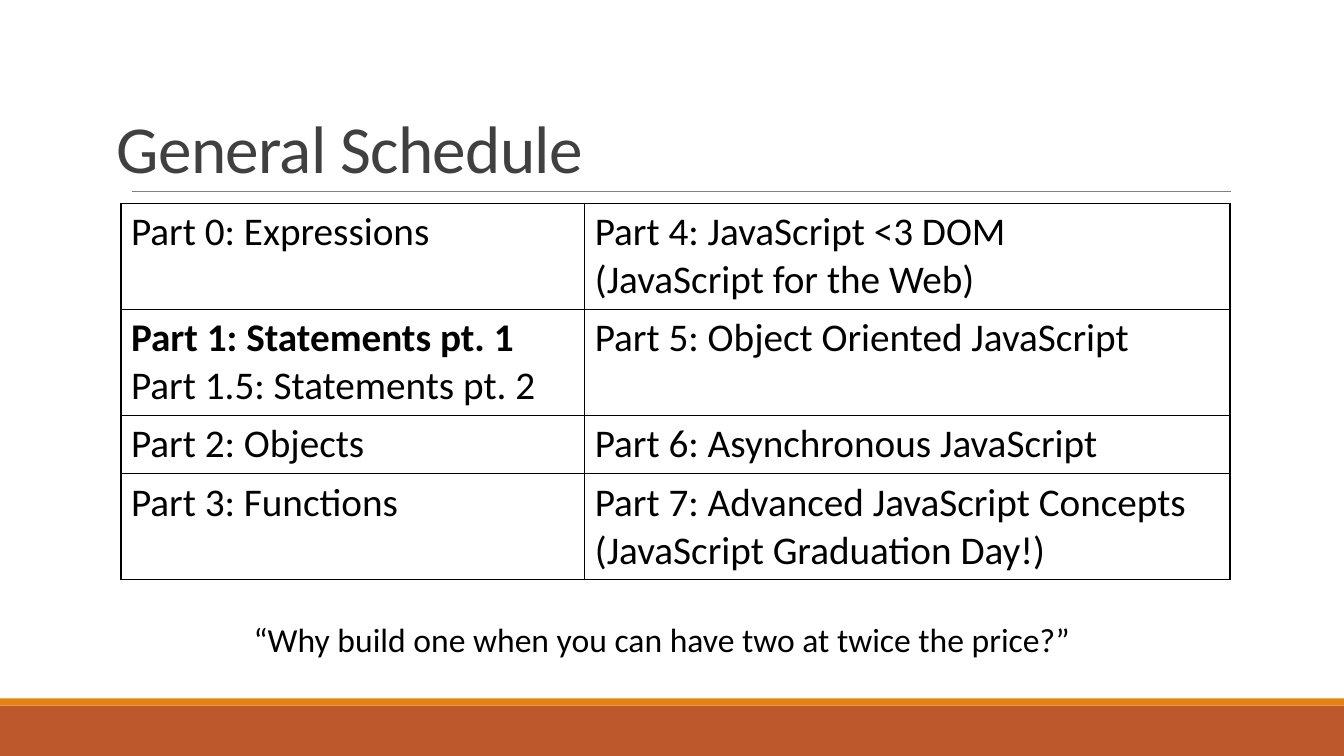
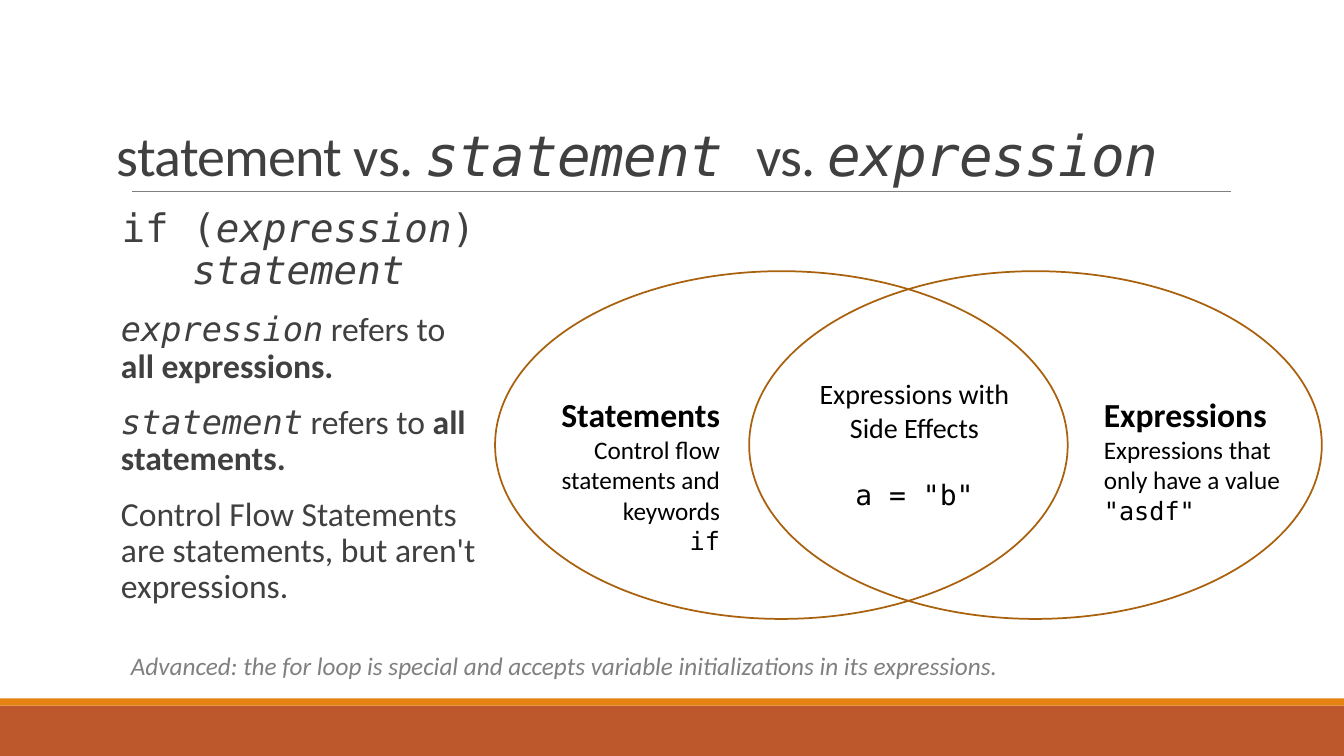
from lxml.etree import SubElement, fromstring
from pptx import Presentation
from pptx.dml.color import RGBColor
from pptx.enum.shapes import MSO_CONNECTOR, MSO_SHAPE
from pptx.enum.text import MSO_ANCHOR, PP_ALIGN
from pptx.oxml.ns import nsdecls, qn
from pptx.util import Inches, Pt

COLORS = {
    "rust": "BD582C", "amber": "E48312", "brown": "A9610D",
    "rule": "808080", "title": "404040", "ink": "000000",
}
SANS, MONO = "Calibri", "DejaVu Sans Mono"
WIDE, HIGH = 13.33, 7.5
LEFT, RIGHT, CENTER = PP_ALIGN.LEFT, PP_ALIGN.RIGHT, PP_ALIGN.CENTER


def rgb(name):
    return RGBColor.from_string(COLORS[name])


def inches(*sizes):
    return [Inches(size) for size in sizes]


def write(frame, lines, size=18, color="ink", align=LEFT, leading=None,
          before=0, after=0, track=None):
    """Each line is a string or a list of runs; a run is (text, format)."""
    for index, line in enumerate(lines):
        para = frame.paragraphs[0] if index == 0 else frame.add_paragraph()
        para.alignment = align if index == 0 or align != CENTER else CENTER
        if leading:
            para.line_spacing = leading
        para.space_before = Pt(before if index else 0)
        para.space_after = Pt(after)
        for text, form in [(line, {})] if isinstance(line, str) else line:
            run = para.add_run()
            run.text = text
            font = run.font
            font.name = form.get("font", SANS)
            font.size = Pt(form.get("size", size))
            font.bold = form.get("bold", False)
            font.italic = form.get("italic", False)
            font.color.rgb = rgb(color)
            if track:
                run._r.get_or_add_rPr().set("spc", str(track))


def label(slide, box, lines, anchor=MSO_ANCHOR.TOP, side=0.1, **form):
    frame = slide.shapes.add_textbox(*inches(*box)).text_frame
    frame.word_wrap = True
    frame.vertical_anchor = anchor
    frame.margin_left = frame.margin_right = Inches(side)
    write(frame, lines, **form)
    return frame


def shape(slide, kind, box, fill=None, line=None):
    item = slide.shapes.add_shape(kind, *inches(*box))
    item.shadow.inherit = False
    if fill:
        item.fill.solid()
        item.fill.fore_color.rgb = rgb(fill)
    else:
        item.fill.background()
    if line:
        item.line.color.rgb = rgb(line)
        item.line.width = Pt(1.25)
    else:
        item.line.fill.background()


def base(deck, title, size):
    """Add a slide with the shared bands, rule and title."""
    slide = deck.slides.add_slide(deck.slide_layouts[6])
    shape(slide, MSO_SHAPE.RECTANGLE, (0, 7, WIDE, 0.5), fill="rust")
    shape(slide, MSO_SHAPE.RECTANGLE, (0, 6.93, WIDE, 0.07), fill="amber")
    rule = slide.shapes.add_connector(
        MSO_CONNECTOR.STRAIGHT, *inches(1.31, 1.9, 12.21, 1.9))
    rule.line.color.rgb = rgb("rule")
    rule.line.width = Pt(0.5)
    SubElement(rule._element.spPr, qn("a:effectLst"))
    label(slide, (1.06, 0.32, 11, 1.59), [title], anchor=MSO_ANCHOR.BOTTOM,
          size=size, color="title", leading=0.85, track=-50)
    return slide


def border(cell):
    props = cell._tc.get_or_add_tcPr()
    for index, side in enumerate("LRTB"):
        props.insert(index, fromstring(
            f'<a:ln{side} {nsdecls("a")} w="{Pt(1)}"><a:solidFill>'
            f'<a:srgbClr val="{COLORS["ink"]}"/></a:solidFill></a:ln{side}>'))


def grid(slide, left, top, cols, rows, cells):
    frame = slide.shapes.add_table(
        len(rows), len(cols), *inches(left, top, sum(cols), sum(rows)))
    table = frame.table
    table.first_row = table.horz_banding = False
    for col, width in zip(table.columns, cols):
        col.width = Inches(width)
    for row, height, texts in zip(table.rows, rows, cells):
        row.height = Inches(height)
        for cell, lines in zip(row.cells, texts):
            cell.fill.background()
            border(cell)
            write(cell.text_frame, lines, size=28)


def venn(slide, left, top, width, height):
    oval = 5.68
    for x in (left + width - oval, left):
        shape(slide, MSO_SHAPE.OVAL, (x, top, oval, height), line="brown")
    head = {"size": 24, "bold": True}
    code = {"font": MONO}
    label(slide, (left + 0.19, top + 1.17, 2.14, 1.72), [
        [("Statements", head)],
        "Control flow",
        "statements and keywords",
        [("if", code)],
    ], align=RIGHT)
    both = label(slide, (left + 3.09, top + 1, 2.14, 1.45), [
        "Expressions with Side Effects",
        [("a = \"b\"", code)],
    ], size=20, align=CENTER)
    both.paragraphs[1].space_before = Pt(24)
    label(slide, (left + 5.94, top + 1.17, 2.14, 1.41), [
        [("Expressions", head)],
        "Expressions that only have a value",
        [("\"asdf\"", code)],
    ])


def rules(slide, box):
    big = {"font": MONO, "size": 28}
    term = {"font": MONO, "italic": True}
    bold = {"bold": True}
    frame = label(slide, box, [
        [("if (", big), ("expression", big | term), (") ", big),
         ("statement", big | term)],
        [("expression", term), (" refers to ", {}),
         ("all expressions.", bold)],
        [("statement", term), (" refers to ", {}),
         ("all statements.", bold)],
        "Control Flow Statements are statements, but aren't expressions.",
    ], side=0, size=24, color="title", leading=0.9, before=12, after=2)
    frame.paragraphs[0].alignment = CENTER


def schedule(deck):
    slide = base(deck, "General Schedule", 48)
    grid(slide, 1.2, 2.02, (4.6, 6.4), (1.05, 1.05, 0.58, 1.05), [
        (["Part 0: Expressions"],
         ["Part 4: JavaScript <3 DOM", "(JavaScript for the Web)"]),
        ([[("Part 1: Statements pt. 1", {"bold": True})],
          "Part 1.5: Statements pt. 2"],
         ["Part 5: Object Oriented JavaScript"]),
        (["Part 2: Objects"], ["Part 6: Asynchronous JavaScript"]),
        (["Part 3: Functions"],
         ["Part 7: Advanced JavaScript Concepts",
          "(JavaScript Graduation Day!)"]),
    ])
    label(slide, (2.41, 6.09, 8.31, 0.5),
          ["“Why build one when you can have two at twice the price?”"],
          size=24, align=CENTER)


def compare(deck):
    term = {"font": MONO, "italic": True}
    slide = base(deck, [("statement vs. ", {}), ("statement ", term),
                        ("vs. ", {}), ("expression", term)], 40)
    rules(slide, (1.2, 2.02, 3.52, 4.71))
    venn(slide, 4.91, 2.69, 8.2, 3.45)
    label(slide, (1.2, 6.4, 10.95, 0.4), [[(
        "Advanced: the for loop is special and accepts variable "
        "initializations in its expressions.", {"italic": True})]],
        color="rule")


def main():
    deck = Presentation()
    deck.slide_width, deck.slide_height = inches(WIDE, HIGH)
    schedule(deck)
    compare(deck)
    deck.save("out.pptx")


if __name__ == "__main__":
    main()
